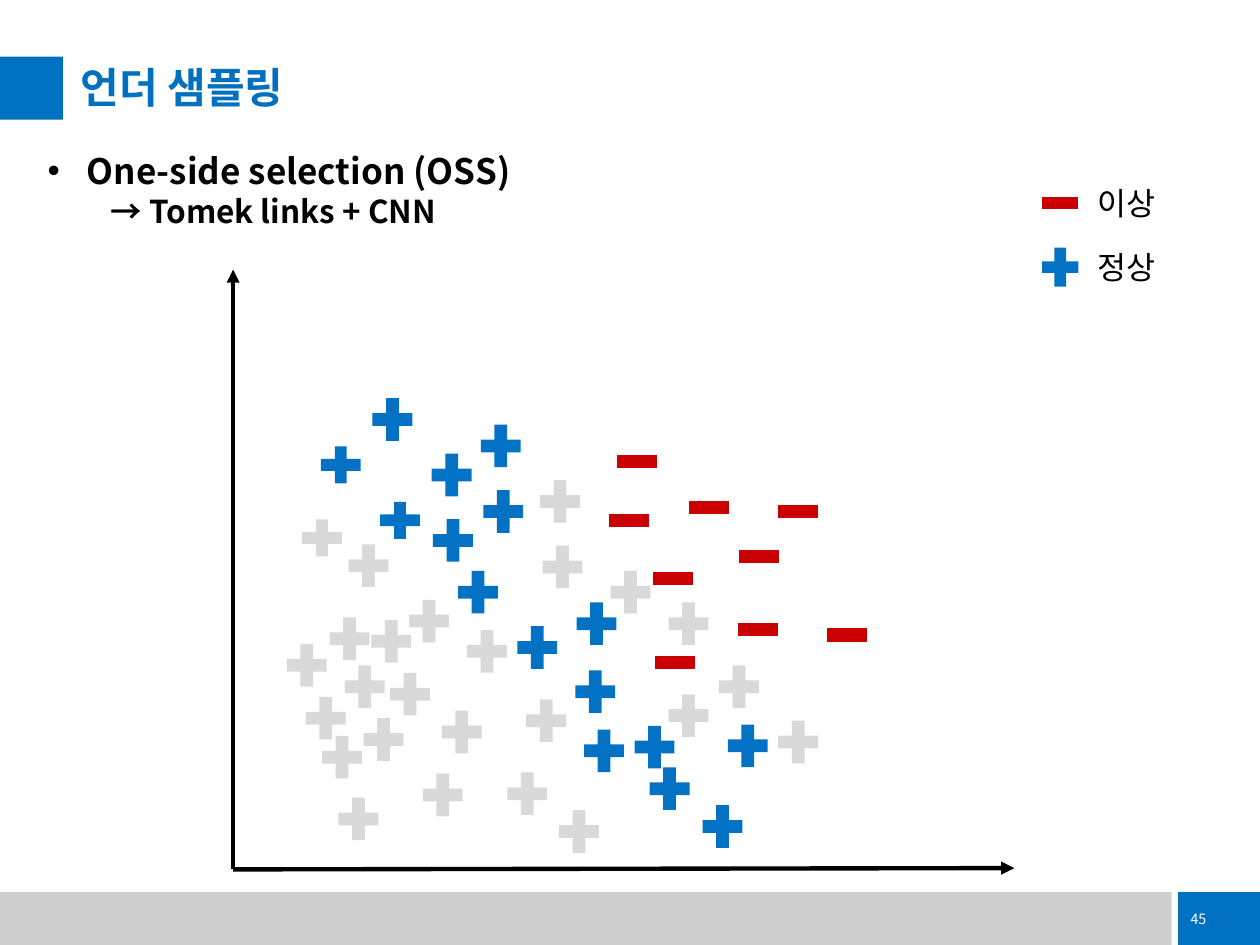
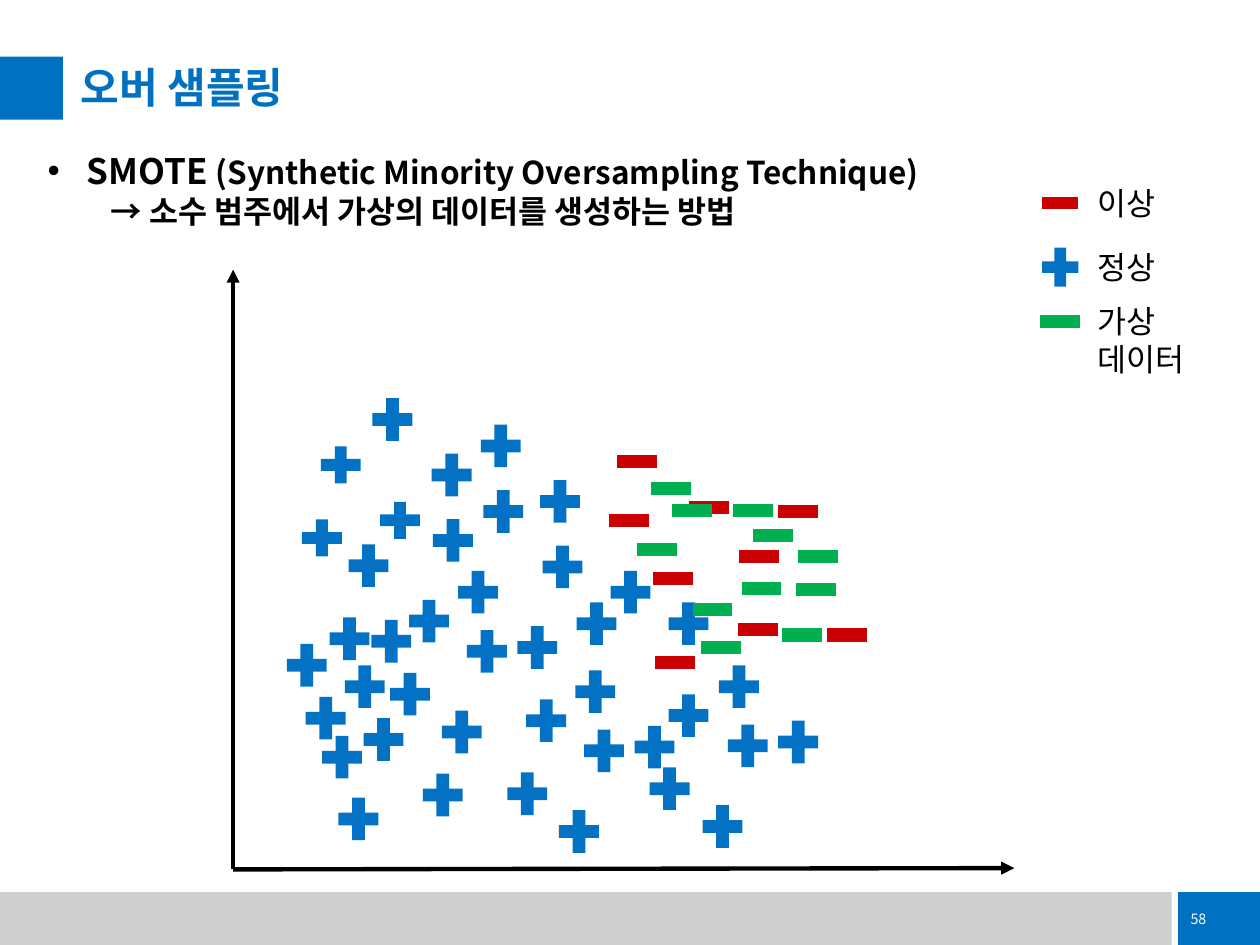
"""Build two slides that compare under-sampling and over-sampling on a scatter of marks."""
from dataclasses import dataclass

from lxml.etree import SubElement
from pptx import Presentation
from pptx.dml.color import RGBColor
from pptx.enum.shapes import MSO_CONNECTOR, MSO_SHAPE
from pptx.enum.text import MSO_ANCHOR, MSO_AUTO_SIZE, PP_ALIGN
from pptx.oxml.ns import qn
from pptx.util import Cm, Pt


@dataclass(frozen=True)
class Theme:
    font: str = "Noto Sans CJK KR"
    accent: str = "0070C0"
    band: str = "CFCFCF"
    ink: str = "000000"
    paper: str = "FFFFFF"
    normal: str = "0472C4"
    anomaly: str = "CB0002"
    synthetic: str = "00B050"
    removed: str = "D9D9D9"
    title_size: float = 24
    head_size: float = 20
    text_size: float = 18
    page_size: float = 8.1
    axis_width: float = 2.5


THEME = Theme()
CM_PER_UNIT = 2.54
MARK_WIDTH, PLUS_HEIGHT, MINUS_HEIGHT = 0.43, 0.46, 0.44
PLUS, MINUS = MSO_SHAPE.MATH_PLUS, MSO_SHAPE.MATH_MINUS

BORDER_NORMALS = [
    (2.9, 3.1), (3.37, 3.54), (3.76, 3.31), (3.38, 4.06), (3.78, 3.83), (3.58, 4.47),
    (4.05, 4.91), (4.51, 5.26), (4.98, 5.7), (4.58, 5.73), (2.49, 3.49, 0.4),
    (2.96, 3.93, 0.4), (5.72, 5.69), (5.52, 6.33), (5.1, 6.03), (4.52, 4.72),
]
OTHER_NORMALS = [
    (4.23, 3.75), (2.71, 4.26), (3.19, 4.7), (4.25, 4.27), (3.65, 4.94), (3.45, 5.58),
    (2.56, 4.84), (2.37, 5.47), (3.04, 5.28), (4.12, 5.49), (4.38, 6.37), (3.97, 6.07),
    (2.83, 5.64), (2.63, 6.27), (3.3, 6.08), (2.5, 5.78), (2.34, 4.07, 0.4), (2.22, 5.05),
    (2.89, 4.86), (2.68, 5.22), (5.25, 5.45), (5.65, 5.22), (6.12, 5.66), (4.79, 4.47),
    (5.25, 4.72),
]
ANOMALIES = [
    (4.78, 3.91), (5.81, 4.2), (5.13, 4.37), (5.14, 5.04), (6.51, 4.82), (5.8, 4.78),
    (6.12, 3.84), (5.41, 3.81), (4.84, 3.44),
]
SYNTHETICS = [
    (5.11, 3.66), (5, 4.14), (5.44, 4.62), (5.51, 4.92), (6.15, 4.82), (5.83, 4.45),
    (6.28, 4.2), (5.28, 3.83), (6.26, 4.46), (5.76, 3.83), (5.92, 4.03),
]


def lengths(*values):
    return [Cm(value * CM_PER_UNIT) for value in values]


def apply(target, formats):
    for name, value in formats.items():
        setattr(target, name, value)


class SlideBuilder:
    def __init__(self, deck, theme):
        self.deck = deck
        self.theme = theme
        self.page = None

    def span(self, para, text, size, color=None, bold=False):
        run = para.add_run()
        run.text = text
        run.font.fill.solid()
        run.font.fill.fore_color.rgb = RGBColor.from_string(color or self.theme.ink)
        apply(run.font, {"name": self.theme.font, "size": Pt(size), "bold": bold})
        SubElement(run.font._element, qn("a:ea"), typeface=self.theme.font)

    def shape(self, kind, at, color):
        shape = self.page.shapes.add_shape(kind, *lengths(*at))
        shape.shadow.inherit = False
        shape.fill.solid()
        shape.fill.fore_color.rgb = RGBColor.from_string(color)
        shape.line.fill.background()
        return shape

    def start(self, title, number):
        theme = self.theme
        self.page = self.deck.slides.add_slide(self.deck.slide_layouts[5])
        self.shape(MSO_SHAPE.RECTANGLE, (0, 7.08, 9.3, 0.42), theme.band)
        badge = self.shape(MSO_SHAPE.RECTANGLE, (9.35, 7.08, 0.65, 0.42), theme.accent)
        apply(badge.text_frame, {"word_wrap": False, "vertical_anchor": MSO_ANCHOR.MIDDLE})
        para = badge.text_frame.paragraphs[0]
        para.alignment = PP_ALIGN.LEFT
        self.span(para, number, theme.page_size, theme.paper)
        self.shape(MSO_SHAPE.RECTANGLE, (0, 0.45, 0.5, 0.5), theme.accent)
        self.title(title)

    def title(self, text):
        box = self.page.shapes.title
        apply(box, dict(zip(("left", "top", "width", "height"), lengths(0.64, 0.51, 9.01, 0.38))))
        apply(box.text_frame, {
            "margin_left": 0, "margin_top": 0, "margin_right": 0, "margin_bottom": 0,
            "auto_size": MSO_AUTO_SIZE.NONE, "vertical_anchor": MSO_ANCHOR.BOTTOM,
        })
        para = box.text_frame.paragraphs[0]
        apply(para, {"alignment": PP_ALIGN.LEFT, "line_spacing": 0.9})
        self.span(para, text, self.theme.title_size, self.theme.accent, True)

    def text_box(self, at):
        frame = self.page.shapes.add_textbox(*lengths(*at)).text_frame
        apply(frame, {"word_wrap": True, "auto_size": MSO_AUTO_SIZE.SHAPE_TO_FIT_TEXT})
        return frame

    def heading(self, width, spans, detail):
        frame = self.text_box((0.28, 1.14, width, 0.74))
        head, note = frame.paragraphs[0], frame.add_paragraph()
        note.level = 1
        for para, margin, indent in ((head, 0.31, -0.31), (note, 0.5, 0)):
            properties = para._p.get_or_add_pPr()
            for name, length in zip(("marL", "indent"), lengths(margin, indent)):
                properties.set(name, str(length))
        properties = head._p.get_or_add_pPr()
        SubElement(properties, qn("a:buFont"), typeface="Arial")
        SubElement(properties, qn("a:buChar"), char="•")
        for text, size in spans:
            self.span(head, text, size, bold=True)
        self.span(note, detail, self.theme.text_size, bold=True)

    def legend(self, kind, mark_at, color, top, *lines):
        self.shape(kind, mark_at, color)
        frame = self.text_box((8.61, top, 1.15, 0.4 + 0.31 * (len(lines) - 1)))
        for index, line in enumerate(lines):
            para = frame.add_paragraph() if index else frame.paragraphs[0]
            self.span(para, line, self.theme.text_size)

    def arrow(self, start, end):
        arrow = self.page.shapes.add_connector(MSO_CONNECTOR.STRAIGHT, *lengths(*start, *end))
        arrow.line.fill.solid()
        arrow.line.fill.fore_color.rgb = RGBColor.from_string(self.theme.ink)
        arrow.line.width = Pt(self.theme.axis_width)
        SubElement(arrow.line._get_or_add_ln(), qn("a:tailEnd"), type="triangle")
        SubElement(arrow._element.spPr, qn("a:effectLst"))

    def marks(self, kind, places, color):
        usual_height = PLUS_HEIGHT if kind == PLUS else MINUS_HEIGHT
        for left, top, *height in places:
            self.shape(kind, (left, top, MARK_WIDTH, *(height or [usual_height])), color)

    def scatter(self, other_color):
        theme = self.theme
        self.legend(MINUS, (8.22, 1.41, 0.39, 0.4), theme.anomaly, 1.41, "이상")
        self.legend(PLUS, (8.22, 1.91, 0.39, 0.42), theme.normal, 1.92, "정상")
        origin = (1.85, 6.9)
        self.arrow(origin, (1.85, 2.14))
        self.arrow(origin, (8.05, 6.89))
        self.marks(PLUS, OTHER_NORMALS, other_color)
        self.marks(PLUS, BORDER_NORMALS, theme.normal)
        self.marks(MINUS, ANOMALIES, theme.anomaly)


def main():
    deck = Presentation()
    deck.slide_width, deck.slide_height = lengths(10, 7.5)
    builder = SlideBuilder(deck, THEME)

    builder.start("언더 샘플링", "45")
    builder.heading(9.45, [("One-side selection (OSS)", THEME.head_size)], "→ Tomek links + CNN")
    builder.scatter(THEME.removed)

    builder.start("오버 샘플링", "58")
    builder.heading(
        7.78,
        [("SMOTE ", THEME.head_size),
         ("(Synthetic Minority Oversampling Technique)", THEME.text_size)],
        "→ 소수 범주에서 가상의 데이터를 생성하는 방법",
    )
    builder.scatter(THEME.normal)
    builder.marks(MINUS, SYNTHETICS, THEME.synthetic)
    builder.legend(MINUS, (8.2, 2.33, MARK_WIDTH, MINUS_HEIGHT), THEME.synthetic,
                   2.35, "가상", "데이터")

    deck.save("out.pptx")


if __name__ == "__main__":
    main()
